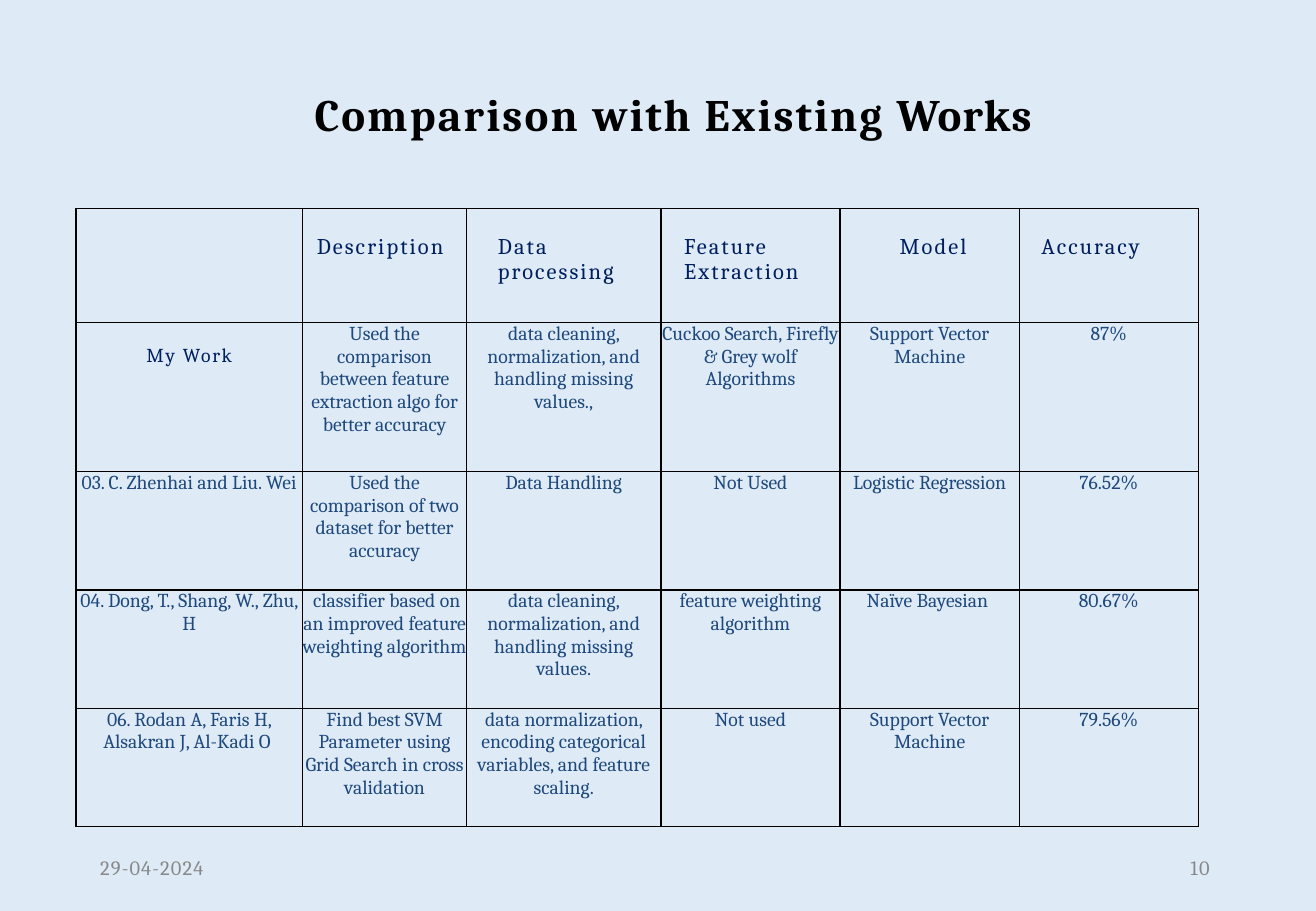
from lxml.etree import SubElement
from pptx import Presentation
from pptx.dml.color import RGBColor
from pptx.enum.text import MSO_ANCHOR, MSO_AUTO_SIZE, PP_ALIGN
from pptx.oxml.ns import qn
from pptx.util import Pt

PX = 9144  # 100 px to the inch

PALE_BLUE = RGBColor(0xDE, 0xEB, 0xF7)
NAVY = RGBColor(0x00, 0x1F, 0x5F)
BLUE = RGBColor(0x1F, 0x49, 0x7D)
GREY = RGBColor(0x88, 0x88, 0x88)
BLACK = RGBColor(0, 0, 0)

TITLE = {"size": Pt(32), "bold": True, "color": BLACK}
HEADING = {"size": Pt(16), "color": NAVY}
MY_WORK = {"size": Pt(14), "color": NAVY}
BODY = {"size": Pt(14), "color": BLUE}
FOOTER = {"size": Pt(14.5), "color": GREY}

COLUMNS = [224, 162, 192, 177, 177, 177]
ROWS = [113, 147, 117, 117, 117]

# Heading text and its left indent; None means centred
HEADINGS = [
    ("", 0), ("Description", 14), ("Data processing", 31),
    ("Feature Extraction", 23), (" Model", None), ("Accuracy", 22),
]
WORKS = [
    ["My Work",
     "Used the comparison between feature extraction algo for better accuracy",
     "data cleaning, normalization, and handling missing values.,",
     "Cuckoo Search, Firefly & Grey wolf Algorithms",
     "Support Vector Machine", "87%"],
    ["03. C. Zhenhai and Liu. Wei",
     "Used the comparison of two dataset for better accuracy",
     "Data Handling", "Not Used", "Logistic Regression", "76.52%"],
    ["04. Dong, T., Shang, W., Zhu, H",
     " classifier based on an improved feature weighting algorithm",
     "data cleaning, normalization, and handling missing values.",
     "feature weighting algorithm", "Naïve Bayesian ", "80.67%"],
    ["06. Rodan A, Faris H, Alsakran J, Al-Kadi O ",
     "Find best SVM Parameter using Grid Search in cross validation",
     "data normalization, encoding categorical variables, and feature scaling.",
     "Not used", "Support Vector Machine", "79.56%"],
]


class SlideBuilder:
    def __init__(self, slide, font):
        self.slide = slide
        self.font = font

    def background(self, color):
        fill = self.slide.background.fill
        fill.solid()
        fill.fore_color.rgb = color

    def add_runs(self, frame, runs, look, align=PP_ALIGN.LEFT):
        """Fill the first paragraph with (text, letter spacing) runs."""
        paragraph = frame.paragraphs[0]
        paragraph.alignment = align
        for text, spacing in runs:
            run = paragraph.add_run()
            run.text = text
            run.font.name = self.font
            for name, value in look.items():
                if name == "color":
                    run.font.color.rgb = value
                else:
                    setattr(run.font, name, value)
            run._r.get_or_add_rPr().set("spc", str(round(spacing * 100)))

    def fit(self, shape, box, inset_left=0, inset_top=0):
        for name, value in zip(("left", "top", "width", "height"), box):
            setattr(shape, name, value * PX)
        settings = {
            "word_wrap": True, "auto_size": MSO_AUTO_SIZE.NONE,
            "vertical_anchor": MSO_ANCHOR.TOP,
            "margin_left": inset_left * PX, "margin_top": inset_top * PX,
            "margin_right": 0, "margin_bottom": 0,
        }
        for name, value in settings.items():
            setattr(shape.text_frame, name, value)

    def title(self, box, runs):
        heading = self.slide.shapes.title
        self.fit(heading, box, 1, 2)
        self.add_runs(heading.text_frame, runs, TITLE, PP_ALIGN.CENTER)

    def label(self, box, runs, inset_left):
        footer = self.slide.shapes.add_textbox(0, 0, PX, PX)
        self.fit(footer, box, inset_left)
        self.add_runs(footer.text_frame, runs, FOOTER)

    def table(self, left, top, columns, rows):
        grid = self.slide.shapes.add_table(
            len(rows), len(columns), left * PX, top * PX,
            sum(columns) * PX, sum(rows) * PX).table
        grid.first_row = grid.horz_banding = False
        for column, width in zip(grid.columns, columns):
            column.width = width * PX
        for row, height in zip(grid.rows, rows):
            row.height = height * PX
        return grid

    def cell(self, cell, text, look, spacing=0, indent=None, drop=0):
        margins = {"margin_left": (indent or 0) * PX, "margin_right": 0,
                   "margin_top": drop * PX, "margin_bottom": 0}
        for name, value in margins.items():
            setattr(cell, name, value)
        self.borders(cell)
        cell.fill.solid()
        cell.fill.fore_color.rgb = PALE_BLUE
        if text:
            align = PP_ALIGN.CENTER if indent is None else PP_ALIGN.LEFT
            self.add_runs(cell.text_frame, [(text, spacing)], look, align)

    def borders(self, cell):
        properties = cell._tc.get_or_add_tcPr()
        for side in ("a:lnL", "a:lnR", "a:lnT", "a:lnB"):
            line = SubElement(properties, qn(side), w=str(Pt(1)))
            solid = SubElement(line, qn("a:solidFill"))
            SubElement(solid, qn("a:srgbClr"), val=str(BLACK))


def main():
    deck = Presentation()
    deck.slide_width, deck.slide_height = 1300 * PX, 900 * PX
    page = SlideBuilder(deck.slides.add_slide(deck.slide_layouts[5]), "Cambria")
    page.background(PALE_BLUE)

    # Title
    page.title((273, 83, 783, 55), [("Comparison ", 1.6), ("with ", 1.4),
                                    ("Existing ", 1.5), ("Works", 0.8)])

    # Comparison table
    comparison = page.table(75, 206, COLUMNS, ROWS)
    for column, (heading, indent) in enumerate(HEADINGS):
        page.cell(comparison.cell(0, column), heading, HEADING, 1.5, indent, 25)
    for row, work in enumerate(WORKS, start=1):
        for column, text in enumerate(work):
            cell = comparison.cell(row, column)
            if (row, column) == (1, 0):
                page.cell(cell, text, MY_WORK, 1.25, drop=22)
            else:
                page.cell(cell, text, BODY)

    # Date and page number
    page.label((98, 845, 118, 24), [("29-04-2024", 0.8)], 1)
    page.label((1172, 845, 33, 26), [("10", 0.9)], 4)

    deck.save("out.pptx")


if __name__ == "__main__":
    main()
